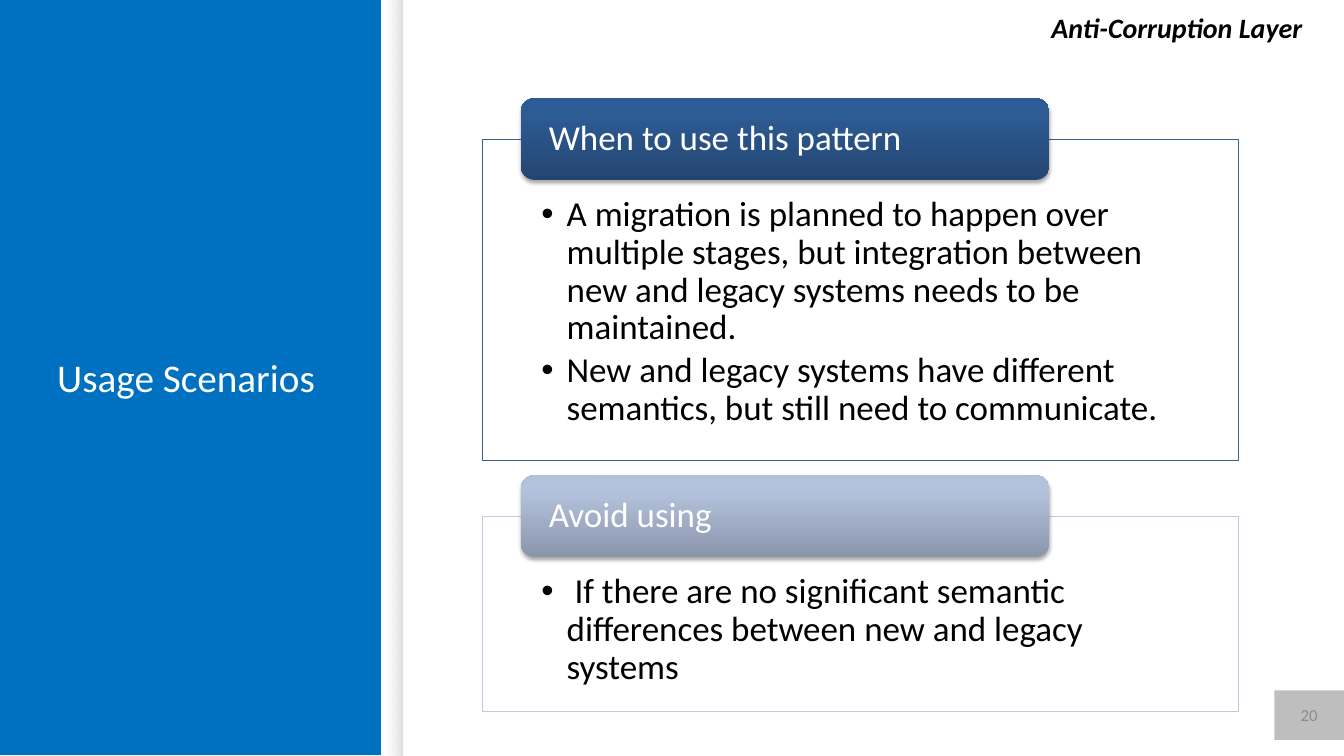
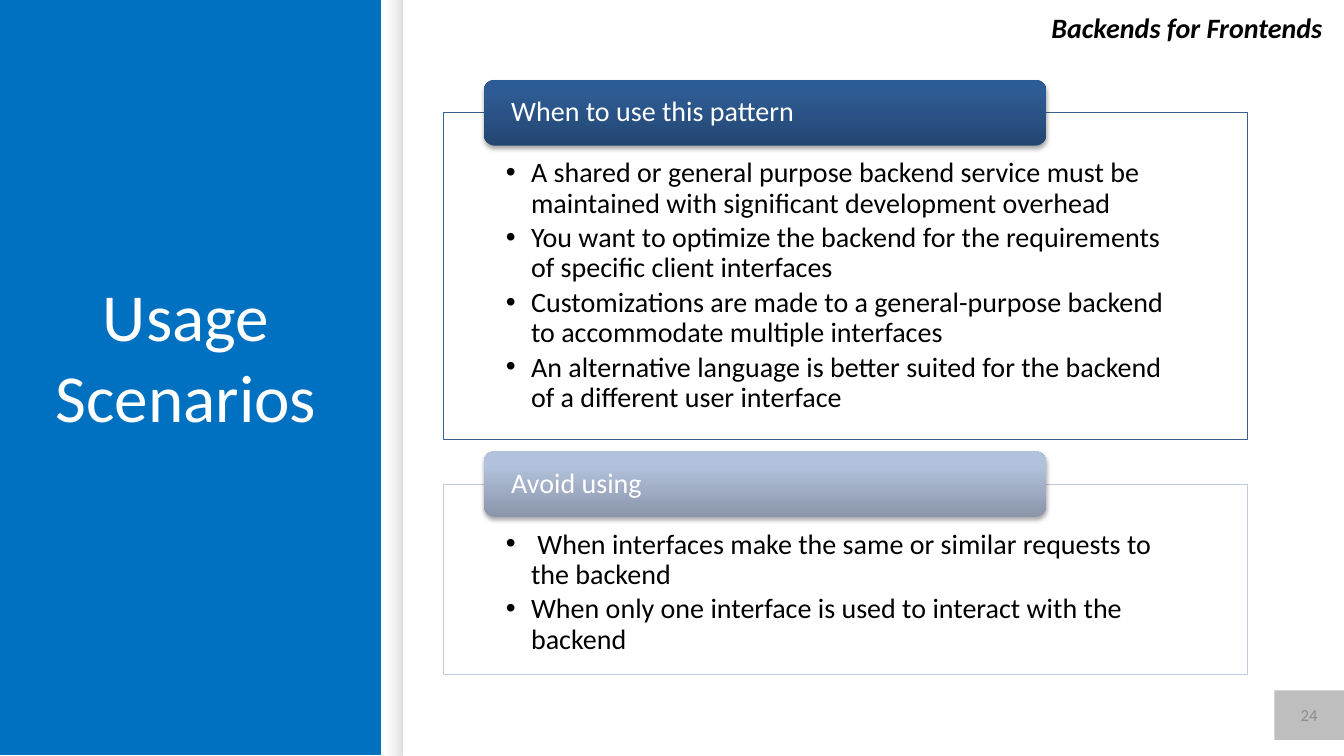
from lxml import etree
from pptx import Presentation
from pptx.dml.color import RGBColor
from pptx.enum.shapes import MSO_SHAPE as SHAPE
from pptx.enum.text import MSO_ANCHOR as ANCHOR, MSO_AUTO_SIZE as AUTO, PP_ALIGN as ALIGN
from pptx.oxml import parse_xml
from pptx.oxml.ns import nsdecls, qn
from pptx.util import Inches, Pt

WIDTH, HEIGHT, BAND = 13.33, 7.5, 3.78
FONT = "Calibri"
COLORS = {
    "band": "0070C0", "white": "FFFFFF", "black": "000000", "edge": "E3E3E3",
    "badge": "7F7F7F", "number": "8C8C8C",
}
STYLES = [
    {"line": "3A5F8C", "stops": [(0, "234671"), (80, "2D5B93"), (100, "2B5C96")]},
    {"line": "BECADF", "stops": [(0, "8A95AA"), (80, "B3C2DC"), (100, "B4C3DE")]},
]
TITLE = "Usage Scenarios"
SLIDES = [
    {
        "pattern": "Anti-Corruption Layer", "number": "20",
        "title_size": 28, "title_anchor": ANCHOR.MIDDLE,
        "size": 25, "left": 4.79, "top": 1.38, "width": 7.49, "tab": 0.81,
        "panels": [
            ("When to use this pattern", 3.19, [
                "A migration is planned to happen over multiple stages, but integration "
                "between new and legacy systems needs to be maintained.",
                "New and legacy systems have different semantics, but still need to communicate.",
            ]),
            ("Avoid using", 1.94, [
                " If there are no significant semantic differences between new and legacy systems",
            ]),
        ],
    },
    {
        "pattern": "Backends for Frontends", "number": "24",
        "title_size": 48, "title_anchor": ANCHOR.TOP,
        "size": 20, "left": 4.4, "top": 1.12, "width": 7.97, "tab": 0.65,
        "panels": [
            ("When to use this pattern", 3.24, [
                "A shared or general purpose backend service must be maintained with "
                "significant development overhead",
                "You want to optimize the backend for the requirements of specific client interfaces",
                "Customizations are made to a general-purpose backend to accommodate multiple interfaces",
                "An alternative language is better suited for the backend of a different user interface",
            ]),
            ("Avoid using", 1.89, [
                " When interfaces make the same or similar requests to the backend",
                "When only one interface is used to interact with the backend",
            ]),
        ],
    },
]


def add_box(s, at, color, alpha=100, line=None, kind=SHAPE.RECTANGLE):
    sp = s.shapes.add_shape(kind, *map(Inches, at))
    sp.shadow.inherit = False
    sp.fill.solid()
    sp.fill.fore_color.rgb = RGBColor.from_string(color)
    if alpha < 100:
        clr = sp._element.spPr.find(qn("a:solidFill"))[0]
        etree.SubElement(clr, qn("a:alpha")).set("val", str(alpha * 1000))
    if line:
        sp.line.color.rgb = RGBColor.from_string(line)
        sp.line.width = Pt(0.75)
    else:
        sp.line.fill.background()
    return sp


def set_gradient(sp, stops, angle):
    grad = parse_xml(f'<a:gradFill {nsdecls("a")} rotWithShape="1"><a:gsLst/>'
                     f'<a:lin ang="{angle * 60000}" scaled="0"/></a:gradFill>')
    for pos, color, *alpha in stops:
        gs = etree.SubElement(grad[0], qn("a:gs"), pos=str(pos * 1000))
        clr = etree.SubElement(gs, qn("a:srgbClr"), val=color)
        if alpha:
            etree.SubElement(clr, qn("a:alpha"), val=str(alpha[0] * 1000))
    spPr = sp._element.spPr
    spPr.replace(spPr.find(qn("a:solidFill")), grad)


def add_shadow(sp):
    effects = sp._element.spPr.find(qn("a:effectLst"))
    effects.append(parse_xml(
        f'<a:outerShdw {nsdecls("a")} blurRad="{Pt(3.1)}" dist="{Pt(1.8)}" dir="5400000" '
        f'rotWithShape="0"><a:srgbClr val="{COLORS["black"]}"><a:alpha val="35000"/>'
        '</a:srgbClr></a:outerShdw>'))


def set_frame(sp, anchor, insets=(0.1, 0.05, 0.1, 0.05)):
    tf = sp.text_frame
    tf.word_wrap = True
    tf.auto_size = AUTO.NONE
    tf.vertical_anchor = anchor
    tf.margin_left, tf.margin_top, tf.margin_right, tf.margin_bottom = map(Inches, insets)
    return tf


def write(p, text, size, color, align=ALIGN.LEFT, strong=False):
    p.alignment = align
    r = p.add_run()
    r.text = text
    r.font.name, r.font.size = FONT, Pt(size)
    r.font.bold = r.font.italic = strong
    r.font.color.rgb = RGBColor.from_string(color)


def add_bullet(p):
    pPr = p._p.get_or_add_pPr()
    pPr.set("marL", str(Inches(0.25)))
    pPr.set("indent", str(Inches(-0.25)))
    etree.SubElement(pPr, qn("a:buFont"), typeface="Arial")
    etree.SubElement(pPr, qn("a:buChar"), char="•")


def build_layout(s):
    band = add_box(s, (0, 0, BAND, HEIGHT - 0.01), COLORS["band"])
    page = add_box(s, (BAND, 0, WIDTH - BAND, HEIGHT), COLORS["white"])
    edge = add_box(s, (0.02, 3.53, 7.52, 0.42), COLORS["white"])
    edge.rotation = 90
    set_gradient(edge, [(0, COLORS["black"], 13), (48, COLORS["edge"], 0),
                        (66, COLORS["white"], 0)], 90)
    badge = add_box(s, (12.64, 6.85, 0.69, 0.49), COLORS["badge"], 50)
    for i, sp in enumerate((band, page, edge, badge)):
        sp._element.nvSpPr.cNvPr.set("id", str(100 + i))
        s.slide_layout.shapes._spTree.append(sp._element)


def add_panel(s, d, top, panel, style):
    heading, height, items = panel
    left, width, tab_h, size = (d[k] for k in ("left", "width", "tab", "size"))
    frame = add_box(s, (left, top, width, height), COLORS["white"], 90, style["line"])
    side = width * 0.0775
    tf = set_frame(frame, ANCHOR.TOP, (side, tab_h * 0.7, side, 0.16))
    for i, item in enumerate(items):
        p = tf.add_paragraph() if i else tf.paragraphs[0]
        p.line_spacing = 0.9
        p.space_after = Pt(size * 0.15)
        add_bullet(p)
        write(p, item, size, COLORS["black"])
    tab = add_box(s, (left + width * 0.05, top - tab_h / 2, width * 0.7, tab_h),
                  COLORS["white"], kind=SHAPE.ROUNDED_RECTANGLE)
    set_gradient(tab, style["stops"], 270)
    add_shadow(tab)
    p = set_frame(tab, ANCHOR.MIDDLE, (0.24, 0, 0.24, 0)).paragraphs[0]
    p.line_spacing = 0.9
    write(p, heading, size, COLORS["white"])


def build_slide(s, d):
    title = s.shapes.title
    title.left, title.top, title.width, title.height = map(Inches, (0.29, 2.67, 3.11, 2.14))
    p = set_frame(title, d["title_anchor"]).paragraphs[0]
    write(p, TITLE, d["title_size"], COLORS["white"], ALIGN.CENTER)

    top = d["top"]
    for panel, style in zip(d["panels"], STYLES):
        add_panel(s, d, top, panel, style)
        top += panel[1] + d["tab"] * 0.68

    label = s.shapes.add_textbox(*map(Inches, (10.33, 0.06, 2.99, 0.44)))
    p = set_frame(label, ANCHOR.TOP).paragraphs[0]
    write(p, d["pattern"], 20, COLORS["black"], strong=True)
    number = s.shapes.add_textbox(*map(Inches, (12.64, 6.85, 0.69, 0.49)))
    p = set_frame(number, ANCHOR.MIDDLE).paragraphs[0]
    write(p, d["number"], 12, COLORS["number"], ALIGN.CENTER)


def main():
    prs = Presentation()
    prs.slide_width, prs.slide_height = Inches(WIDTH), Inches(HEIGHT)
    layout = prs.slide_layouts.get_by_name("Title Only")
    for i, d in enumerate(SLIDES):
        s = prs.slides.add_slide(layout)
        if i == 0:
            build_layout(s)
        build_slide(s, d)
    prs.save("out.pptx")


if __name__ == "__main__":
    main()
